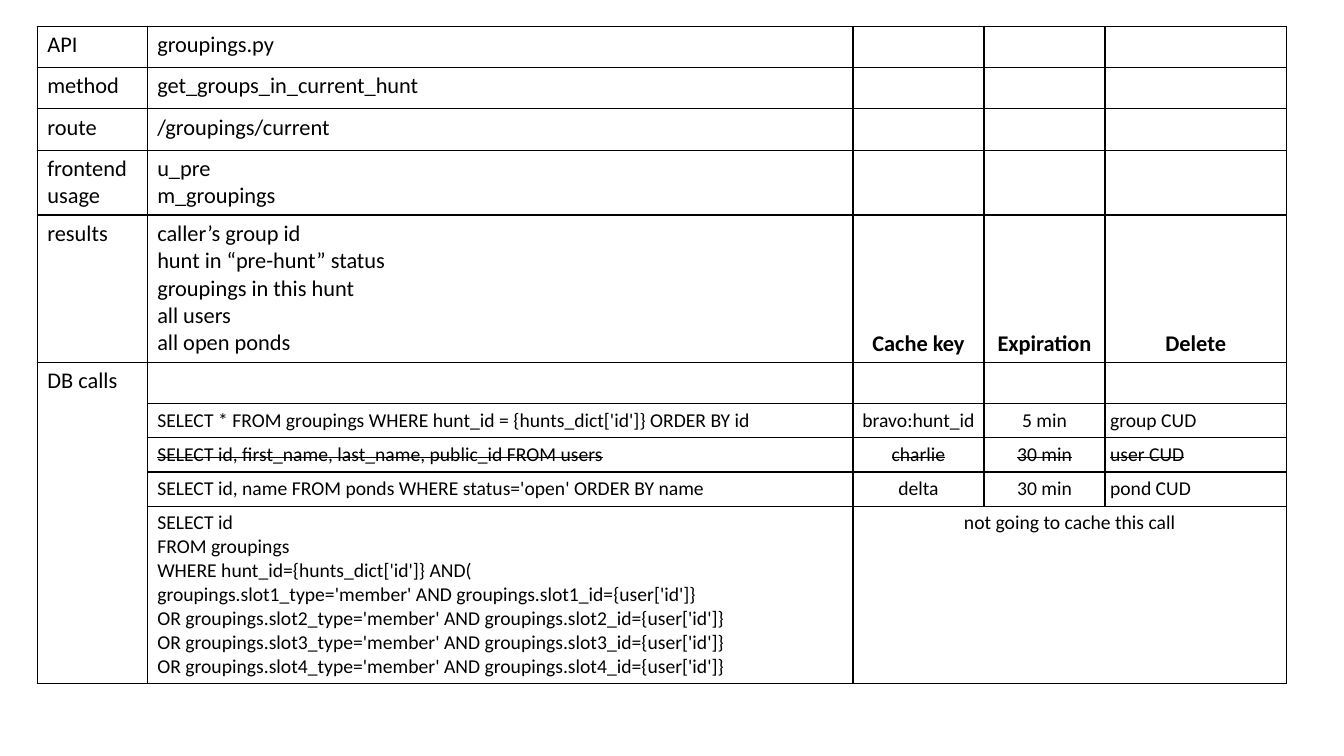
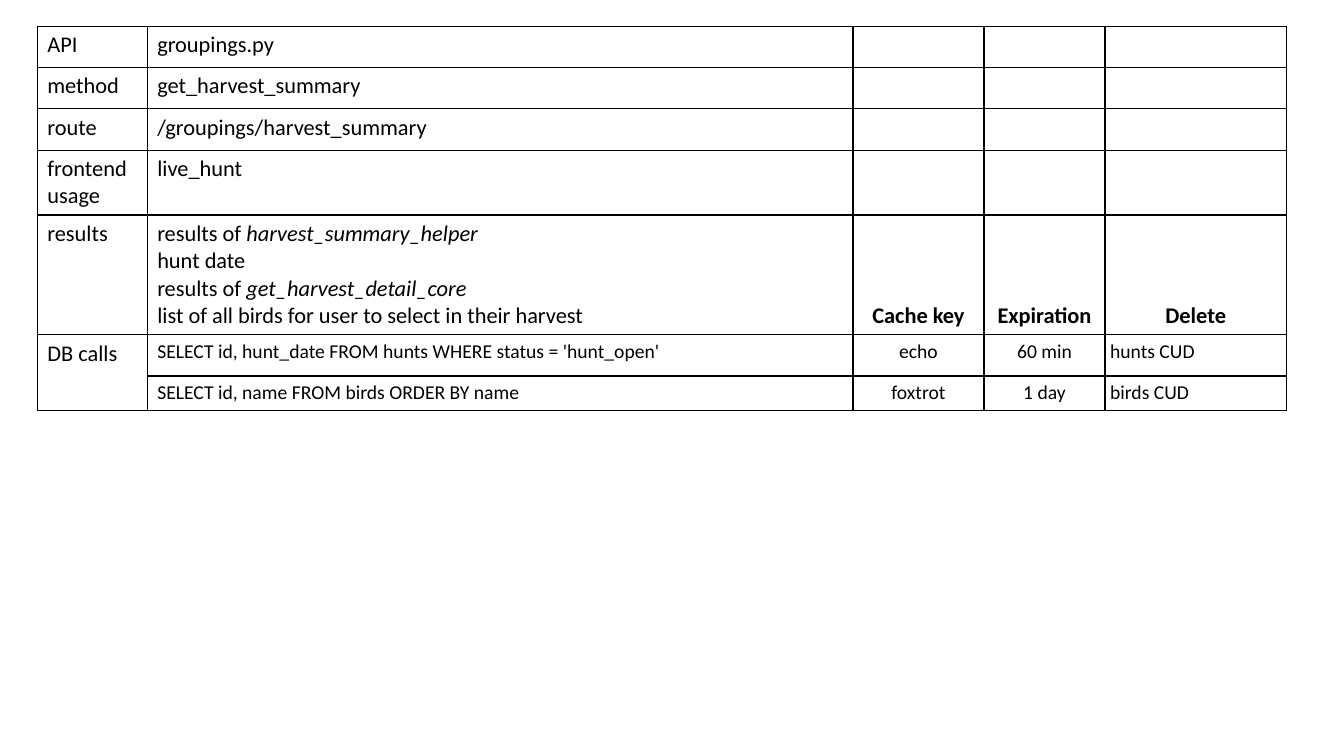
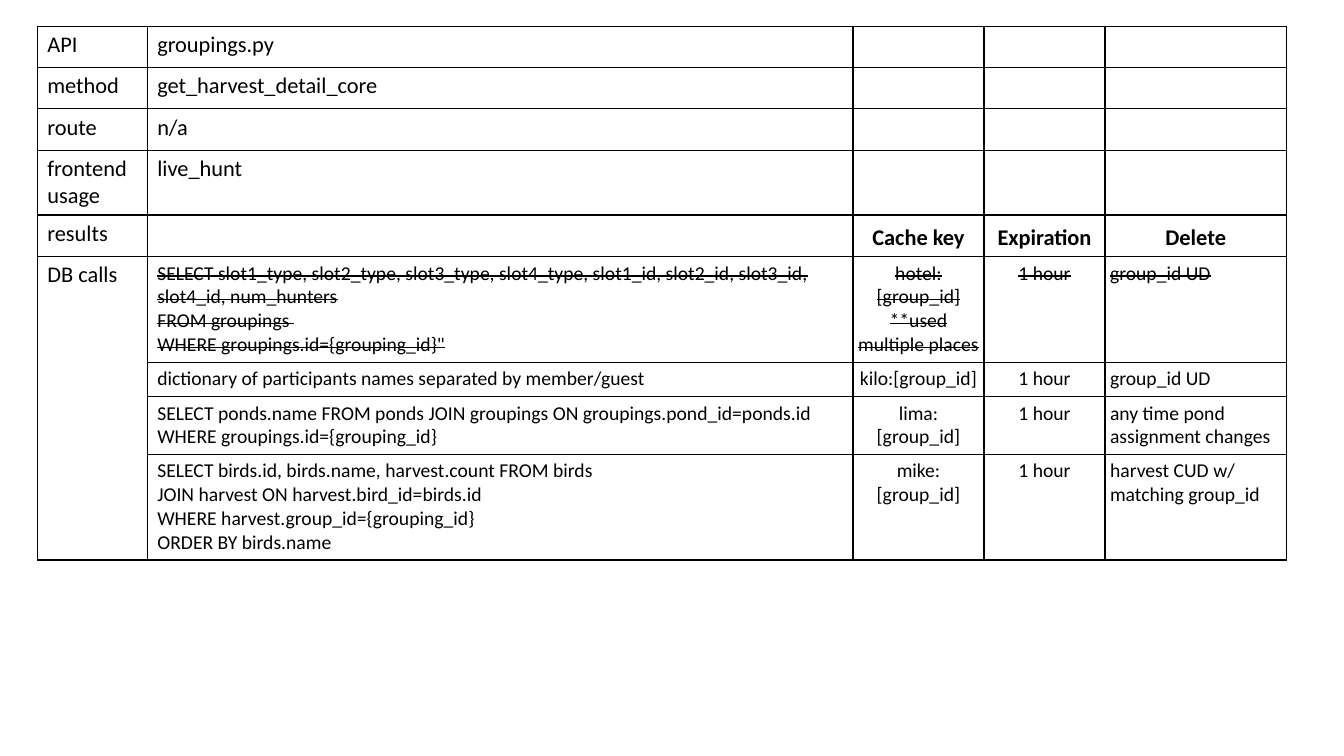
from dataclasses import dataclass

from lxml import etree
from pptx import Presentation
from pptx.dml.color import RGBColor
from pptx.enum.text import MSO_ANCHOR, PP_ALIGN
from pptx.oxml.ns import qn
from pptx.presentation import Presentation as Deck
from pptx.table import Table, _Cell
from pptx.util import Inches, Pt

LEFT, CENTER = PP_ALIGN.LEFT, PP_ALIGN.CENTER
TOP, BOTTOM = MSO_ANCHOR.TOP, MSO_ANCHOR.BOTTOM

COLORS = {"ink": "000000", "paper": "FFFFFF"}
FONT = "Calibri"
COLUMN_WIDTHS = (1.09, 7, 1.3, 1.2, 1.8)
CACHE_HEADERS = ("Cache key", "Expiration", "Delete")
TABLE_LEFT, TABLE_TOP = 0.37, 0.26
INFO_SIZE, CALL_SIZE = 16, 14
INFO_HEIGHT, CALL_HEIGHT = 0.41, 0.34
LINE_RATIO = 1.22
TIGHT_MARGIN = 0.05


@dataclass(frozen=True)
class Style:
    """Look of the text in one cell."""
    size: int = INFO_SIZE
    bold: bool = False
    strike: bool = False
    align: PP_ALIGN = LEFT
    anchor: MSO_ANCHOR = TOP
    tight: bool = False


@dataclass(frozen=True)
class Line:
    """One line of results, which may end in an italic function name."""
    text: str
    function: str = ""


@dataclass(frozen=True)
class Call:
    """One database call and how it is cached."""
    query: str = ""
    key: str = ""
    expiration: str = ""
    delete: str = ""
    strike: bool = False
    lines: int = 1
    cached: bool = True


@dataclass(frozen=True)
class Method:
    """One API method, shown as a table on its own slide."""
    name: str
    route: str
    usage: str
    results: tuple[Line, ...]
    calls: tuple[Call, ...]


METHODS = (
    Method(
        "get_groups_in_current_hunt", "/groupings/current", "u_pre\nm_groupings",
        (Line("caller’s group id"), Line("hunt in “pre-hunt” status"),
         Line("groupings in this hunt"), Line("all users"), Line("all open ponds")),
        (
            Call(),
            Call("SELECT * FROM groupings WHERE hunt_id = {hunts_dict['id']} ORDER BY id",
                 "bravo:hunt_id", "5 min", "group CUD"),
            Call("SELECT id, first_name, last_name, public_id FROM users",
                 "charlie", "30 min", "user CUD", strike=True),
            Call("SELECT id, name FROM ponds WHERE status='open' ORDER BY name",
                 "delta", "30 min", "pond CUD"),
            Call("SELECT id\nFROM groupings\nWHERE hunt_id={hunts_dict['id']} AND(\n"
                 + "\nOR ".join(
                     f"groupings.slot{n}_type='member' AND groupings.slot{n}_id={{user['id']}}"
                     for n in range(1, 5)),
                 "not going to cache this call", lines=7, cached=False),
        ),
    ),
    Method(
        "get_harvest_summary", "/groupings/harvest_summary", "live_hunt",
        (Line("results of ", "harvest_summary_helper"), Line("hunt date"),
         Line("results of ", "get_harvest_detail_core"),
         Line("list of all birds for user to select in their harvest")),
        (
            Call("SELECT id, hunt_date FROM hunts WHERE status = 'hunt_open'",
                 "echo", "60 min", "hunts CUD"),
            Call("SELECT id, name FROM birds ORDER BY name", "foxtrot", "1 day", "birds CUD"),
        ),
    ),
    Method(
        "get_harvest_detail_core", "n/a", "live_hunt", (),
        (
            Call("SELECT slot1_type, slot2_type, slot3_type, slot4_type, slot1_id, slot2_id, "
                 "slot3_id, slot4_id, num_hunters\nFROM groupings \n"
                 "WHERE groupings.id={grouping_id}\"",
                 "hotel:[group_id]\n**used multiple places", "1 hour", "group_id UD",
                 strike=True, lines=4),
            Call("dictionary of participants names separated by member/guest",
                 "kilo:[group_id]", "1 hour", "group_id UD"),
            Call("SELECT ponds.name FROM ponds JOIN groupings ON groupings.pond_id=ponds.id "
                 "WHERE groupings.id={grouping_id}",
                 "lima:[group_id]", "1 hour", "any time pond assignment changes", lines=2),
            Call("SELECT birds.id, birds.name, harvest.count FROM birds\n"
                 "JOIN harvest ON harvest.bird_id=birds.id\n"
                 "WHERE harvest.group_id={grouping_id}\nORDER BY birds.name",
                 "mike:[group_id]", "1 hour", "harvest CUD w/ matching group_id", lines=4),
        ),
    ),
)


def row_height(lines: int, size: int, least: float) -> float:
    """Return the height in inches of a row with this many text lines."""
    return max(least, round(lines * size * LINE_RATIO / 72 + 2 * TIGHT_MARGIN, 2))


def format_cell(cell: _Cell) -> None:
    """Give a cell thin borders and a plain fill."""
    tc_pr = cell._tc.get_or_add_tcPr()
    for side in ("a:lnL", "a:lnR", "a:lnT", "a:lnB"):
        ln = etree.SubElement(tc_pr, qn(side), w=str(Pt(1)))
        fill = etree.SubElement(ln, qn("a:solidFill"))
        etree.SubElement(fill, qn("a:srgbClr"), val=COLORS["ink"])
    cell.fill.solid()
    cell.fill.fore_color.rgb = RGBColor.from_string(COLORS["paper"])


def write_cell(cell: _Cell, text: str, style: Style = Style()) -> None:
    """Write text into a cell, one paragraph for each line."""
    cell.text = text
    cell.vertical_anchor = style.anchor
    if style.tight:
        cell.margin_left = cell.margin_right = Inches(TIGHT_MARGIN)
        cell.margin_top = cell.margin_bottom = Inches(TIGHT_MARGIN)
    for p in cell.text_frame.paragraphs:
        p.alignment = style.align
        p.font.name = FONT
        p.font.size = Pt(style.size)
        p.font.bold = style.bold
        p.font.color.rgb = RGBColor.from_string(COLORS["ink"])
        if style.strike:
            for r in p.runs:
                r._r.get_or_add_rPr().set("strike", "sngStrike")


def write_results(cell: _Cell, results: tuple[Line, ...]) -> None:
    """Write the result lines, with function names in italics."""
    write_cell(cell, "\n".join(line.text for line in results))
    for p, line in zip(cell.text_frame.paragraphs, results):
        if line.function:
            r = p.add_run()
            r.text = line.function
            r.font.italic = True


def write_call(table: Table, row: int, call: Call) -> None:
    """Fill one row with a database call and its cache settings."""
    write_cell(table.cell(row, 1), call.query, Style(CALL_SIZE, strike=call.strike))
    if not call.cached:
        table.cell(row, 2).merge(table.cell(row, 4))
    settings = (call.key, call.expiration, call.delete)
    for column, (text, align) in enumerate(zip(settings, (CENTER, CENTER, LEFT)), 2):
        if text:
            style = Style(CALL_SIZE, strike=call.strike, align=align, tight=True)
            write_cell(table.cell(row, column), text, style)


def add_method_slide(prs: Deck, method: Method) -> None:
    """Add a slide with the table of one API method."""
    info = (("API", "groupings.py"), ("method", method.name), ("route", method.route),
            ("frontend \nusage", method.usage))
    results_row = len(info)
    first_call = results_row + 1
    heights = [row_height(label.count("\n") + 1, INFO_SIZE, INFO_HEIGHT) for label, _ in info]
    heights.append(row_height(len(method.results), INFO_SIZE, INFO_HEIGHT))
    heights += [row_height(call.lines, CALL_SIZE, CALL_HEIGHT if i else INFO_HEIGHT)
                for i, call in enumerate(method.calls)]

    s = prs.slides.add_slide(prs.slide_layouts[6])
    table = s.shapes.add_table(
        len(heights), len(COLUMN_WIDTHS), Inches(TABLE_LEFT), Inches(TABLE_TOP),
        Inches(sum(COLUMN_WIDTHS)), Inches(sum(heights))).table
    table.first_row = table.horz_banding = False
    for column, width in zip(table.columns, COLUMN_WIDTHS):
        column.width = Inches(width)
    for row, height in zip(table.rows, heights):
        row.height = Inches(height)
        for cell in row.cells:
            format_cell(cell)

    for row, (label, value) in enumerate(info):
        write_cell(table.cell(row, 0), label)
        write_cell(table.cell(row, 1), value)
    write_cell(table.cell(results_row, 0), "results")
    write_results(table.cell(results_row, 1), method.results)
    for column, header in enumerate(CACHE_HEADERS, 2):
        write_cell(table.cell(results_row, column), header,
                   Style(bold=True, align=CENTER, anchor=BOTTOM))
    table.cell(first_call, 0).merge(table.cell(len(heights) - 1, 0))
    write_cell(table.cell(first_call, 0), "DB calls")
    for row, call in enumerate(method.calls, first_call):
        write_call(table, row, call)


def main() -> None:
    """Build and save the presentation."""
    prs = Presentation()
    prs.slide_width, prs.slide_height = Inches(13.33), Inches(7.5)
    for method in METHODS:
        add_method_slide(prs, method)
    prs.save("out.pptx")


main()
